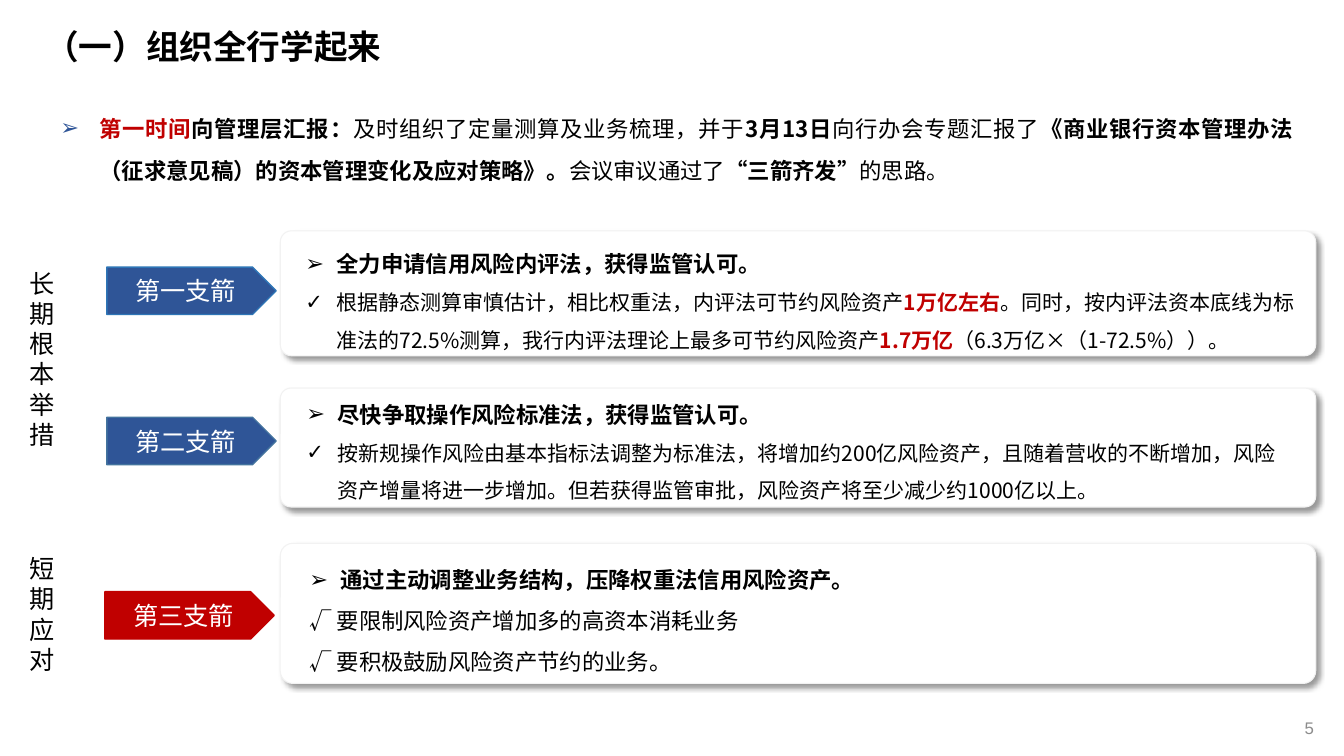
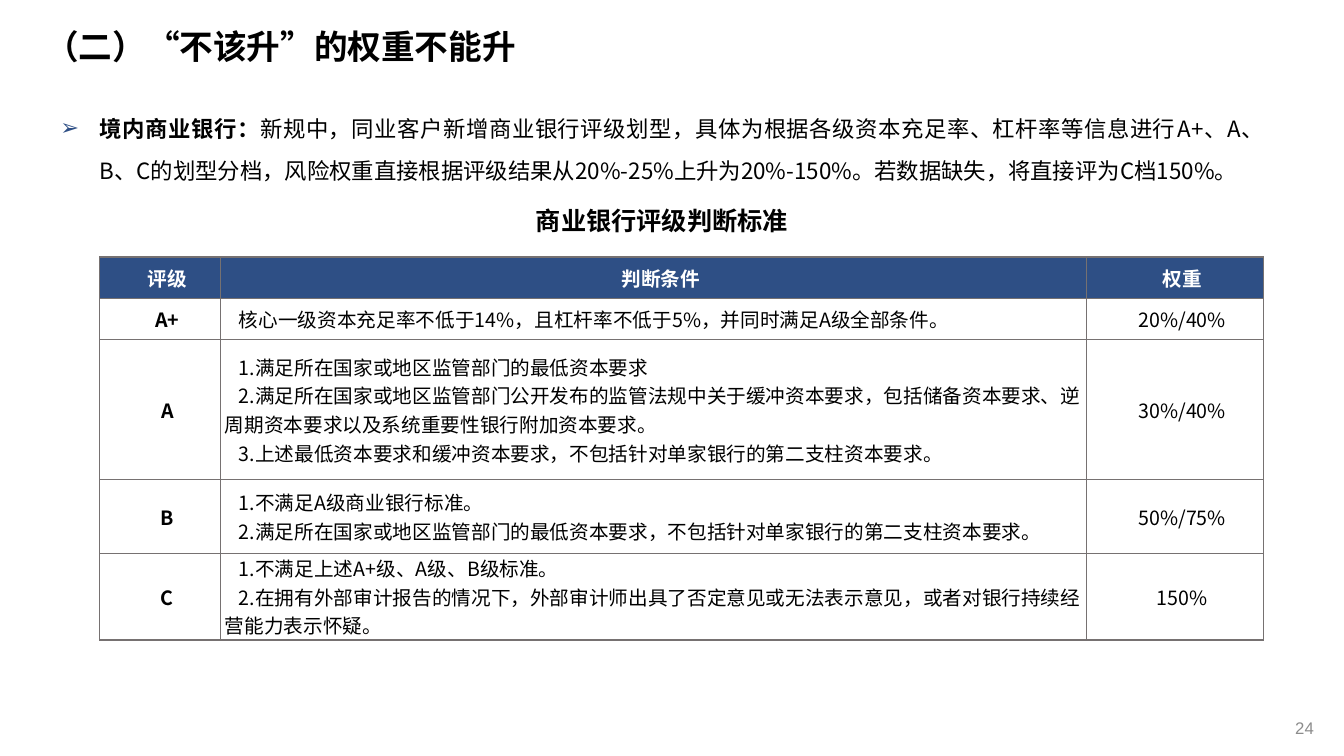
from lxml.etree import SubElement
from pptx import Presentation
from pptx.dml.color import RGBColor
from pptx.enum.shapes import MSO_SHAPE
from pptx.enum.text import MSO_ANCHOR, PP_ALIGN
from pptx.oxml import parse_xml
from pptx.oxml.ns import nsdecls, qn
from pptx.util import Inches, Pt

COLORS = {
    "black": "000000", "white": "FFFFFF", "red": "C00000", "blue": "2F5597",
    "navy": "2E4F85", "gray": "8C8C8C", "border": "767171", "panel": "F2F2F2",
    "first_edge": "2E75B6", "second_edge": "43739E",
}
CJK = "Noto Sans CJK SC"
LATIN = "Arial"
STYLES = {"plain": ("black", False), "bold": ("black", True), "red": ("red", True)}

REPORT = {
    "title": "（一）组织全行学起来",
    "number": "5",
    "intro": [
        ("第一时间", "red"),
        ("向管理层汇报：", "bold"),
        ("及时组织了定量测算及业务梳理，并于", "plain"),
        ("3月13日", "bold"),
        ("向行办会专题汇报了", "plain"),
        ("《商业银行资本管理办法（征求意见稿）的资本管理变化及应对策略》。", "bold"),
        ("会议审议通过了", "plain"),
        ("“三箭齐发”", "bold"),
        ("的思路。", "plain"),
    ],
    "intro_width": 12.42,
    "bullet": "blue",
}
WEIGHTS = {
    "title": "（二）“不该升”的权重不能升",
    "number": "24",
    "intro": [
        ("境内商业银行：", "bold"),
        ("新规中，同业客户新增商业银行评级划型，具体为根据各级资本充足率、杠杆率等信息进行A+、A、B、C的划型分档，"
         "风险权重直接根据评级结果从20%-25%上升为20%-150%。若数据缺失，将直接评为C档150%。", "plain"),
    ],
    "intro_width": 12.13,
    "bullet": "navy",
}

ARROWS = [
    {
        "label": "第一支箭", "arrow": (1.06, 2.65), "fill": "blue", "edge": "first_edge",
        "panel": (2.29, 1.24), "text": (2.93, 2.3, 10.09, 1.26),
        "heading": "全力申请信用风险内评法，获得监管认可。", "heading_spacing": 29,
        "details": [[
            ("根据静态测算审慎估计，相比权重法，内评法可节约风险资产", "plain"),
            ("1万亿左右", "red"),
            ("。同时，按内评法资本底线为标准法的72.5%测算，我行内评法理论上最多可节约风险资产", "plain"),
            ("1.7万亿", "red"),
            ("（6.3万亿×（1-72.5%））。", "plain"),
        ]],
        "detail_format": {"size": 15, "spacing": 27, "bullet": "✓", "indent": 0.31},
    },
    {
        "label": "第二支箭", "arrow": (1.06, 4.14), "fill": "blue", "edge": "second_edge",
        "panel": (3.85, 1.18), "text": (2.94, 3.79, 10.01, 1.26),
        "heading": "尽快争取操作风险标准法，获得监管认可。", "heading_spacing": 29,
        "details": [[
            ("按新规操作风险由基本指标法调整为标准法，将增加约200亿风险资产，且随着营收的不断增加，"
             "风险资产增量将进一步增加。但若获得监管审批，风险资产将至少减少约1000亿以上。", "plain"),
        ]],
        "detail_format": {"size": 15, "spacing": 27, "bullet": "✓", "indent": 0.31},
    },
    {
        "label": "第三支箭", "arrow": (1.04, 5.87), "fill": "red", "edge": "red",
        "panel": (5.39, 1.39), "text": (2.97, 5.56, 9.65, 1.13),
        "heading": "通过主动调整业务结构，压降权重法信用风险资产。", "heading_spacing": 20,
        "details": ["√ 要限制风险资产增加多的高资本消耗业务", "√ 要积极鼓励风险资产节约的业务。"],
        "detail_format": {"size": 16, "spacing": 29, "align": PP_ALIGN.JUSTIFY},
    },
]
HORIZONS = [("长期根本举措", 2.61, 1.92), ("短期应对", 5.44, 1.31)]

TABLE_TITLE = "商业银行评级判断标准"
TABLE_ROWS = [
    ("评级", ["判断条件"], "权重"),
    ("A+", ["核心一级资本充足率不低于14%，且杠杆率不低于5%，并同时满足A级全部条件。"], "20%/40%"),
    ("A", [
        "1.满足所在国家或地区监管部门的最低资本要求",
        "2.满足所在国家或地区监管部门公开发布的监管法规中关于缓冲资本要求，包括储备资本要求、逆周期资本要求以及系统重要性银行附加资本要求。",
        "3.上述最低资本要求和缓冲资本要求，不包括针对单家银行的第二支柱资本要求。",
    ], "30%/40%"),
    ("B", [
        "1.不满足A级商业银行标准。",
        "2.满足所在国家或地区监管部门的最低资本要求，不包括针对单家银行的第二支柱资本要求。",
    ], "50%/75%"),
    ("C", [
        "1.不满足上述A+级、A级、B级标准。",
        "2.在拥有外部审计报告的情况下，外部审计师出具了否定意见或无法表示意见，或者对银行持续经营能力表示怀疑。",
    ], "150%"),
]
COLUMN_WIDTHS = [1.2, 8.59, 1.75]
ROW_HEIGHTS = [0.41, 0.41, 1.39, 0.73, 0.86]


def color(name):
    return RGBColor.from_string(COLORS[name])


def write(frame, content, size=16, style="plain", tint=None, font=CJK, align=PP_ALIGN.LEFT,
          spacing=None, bullet=None, bullet_color="black", indent=0, first=None):
    paragraph = frame.paragraphs[0]
    if paragraph.runs:
        paragraph = frame.add_paragraph()
    paragraph.alignment = align
    if spacing:
        paragraph.line_spacing = Pt(spacing)
    properties = paragraph._p.get_or_add_pPr()
    properties.set("marL", str(Inches(indent)))
    properties.set("indent", str(Inches(-indent if first is None else first)))
    if bullet:
        tone = SubElement(properties, qn("a:buClr"))
        SubElement(tone, qn("a:srgbClr")).set("val", COLORS[bullet_color])
        SubElement(properties, qn("a:buFont")).set("typeface", LATIN)
        SubElement(properties, qn("a:buChar")).set("char", bullet)
    for text, name in [(content, style)] if isinstance(content, str) else content:
        run = paragraph.add_run()
        run.text = text
        ink, bold = STYLES[name]
        run.font.size = Pt(size)
        run.font.bold = bold
        run.font.name = font
        run.font.color.rgb = color(tint or ink)
        SubElement(run._r.get_or_add_rPr(), qn("a:ea")).set("typeface", CJK)


def add_text_frame(slide, left, top, width, height, anchor=MSO_ANCHOR.TOP, wrap=True):
    frame = slide.shapes.add_textbox(Inches(left), Inches(top), Inches(width), Inches(height)).text_frame
    frame.word_wrap = wrap
    frame.vertical_anchor = anchor
    return frame


def add_filled_shape(slide, kind, left, top, width, height, fill, edge, weight):
    shape = slide.shapes.add_shape(kind, Inches(left), Inches(top), Inches(width), Inches(height))
    shape.shadow.inherit = False
    shape.fill.solid()
    shape.fill.fore_color.rgb = color(fill)
    shape.line.color.rgb = color(edge)
    shape.line.width = Pt(weight)
    return shape


def add_panel(slide, top, height):
    panel = add_filled_shape(slide, MSO_SHAPE.ROUNDED_RECTANGLE, 2.78, top, 10.27, height, "white", "panel", 0.75)
    panel.adjustments[0] = 0.09
    effects = panel._element.spPr.find(qn("a:effectLst"))
    effects.append(parse_xml(
        f'<a:outerShdw {nsdecls("a")} blurRad="{Pt(4)}" dist="{Pt(3)}" dir="2700000" algn="tl" rotWithShape="0">'
        f'<a:srgbClr val="{COLORS["black"]}"><a:alpha val="40000"/></a:srgbClr></a:outerShdw>'))


def add_page(presentation, page):
    slide = presentation.slides.add_slide(presentation.slide_layouts[6])
    number = add_text_frame(slide, 12.13, 7.06, 1, 0.33, MSO_ANCHOR.MIDDLE)
    write(number, page["number"], size=12, font=LATIN, tint="gray", align=PP_ALIGN.RIGHT)
    title = add_text_frame(slide, 0.35, 0.24, 8.47, 0.42, MSO_ANCHOR.BOTTOM)
    title.margin_top = title.margin_bottom = 0
    write(title, page["title"], size=24, style="bold", spacing=30)
    intro = add_text_frame(slide, 0.5, 0.94, page["intro_width"], 0.94)
    write(intro, page["intro"], spacing=30, align=PP_ALIGN.JUSTIFY,
          bullet="➢", bullet_color=page["bullet"], indent=0.39)
    return slide


def add_arrow(slide, item):
    add_panel(slide, *item["panel"])
    frame = add_text_frame(slide, *item["text"])
    write(frame, item["heading"], style="bold", spacing=item["heading_spacing"], bullet="➢", indent=0.31)
    for detail in item["details"]:
        write(frame, detail, **item["detail_format"])
    arrow = add_filled_shape(slide, MSO_SHAPE.PENTAGON, *item["arrow"], 1.68, 0.47, item["fill"], item["edge"], 1)
    arrow.text_frame.vertical_anchor = MSO_ANCHOR.MIDDLE
    write(arrow.text_frame, item["label"], size=18, font=LATIN, tint="white", align=PP_ALIGN.CENTER)


def add_borders(cell):
    properties = cell._tc.get_or_add_tcPr()
    for position, side in enumerate(("lnL", "lnR", "lnT", "lnB")):
        properties.insert(position, parse_xml(
            f'<a:{side} {nsdecls("a")} w="{Pt(1)}"><a:solidFill>'
            f'<a:srgbClr val="{COLORS["border"]}"/></a:solidFill></a:{side}>'))


def add_rating_table(slide):
    table = slide.shapes.add_table(
        len(TABLE_ROWS), len(COLUMN_WIDTHS), Inches(0.99), Inches(2.55),
        Inches(sum(COLUMN_WIDTHS)), Inches(sum(ROW_HEIGHTS))).table
    table.first_row = table.horz_banding = False
    for column, width in zip(table.columns, COLUMN_WIDTHS):
        column.width = Inches(width)
    for row_index, (row, height) in enumerate(zip(TABLE_ROWS, ROW_HEIGHTS)):
        table.rows[row_index].height = Inches(height)
        header = row_index == 0
        for column_index, content in enumerate(row):
            cell = table.cell(row_index, column_index)
            cell.vertical_anchor = MSO_ANCHOR.MIDDLE
            cell.margin_left = cell.margin_right = Inches(0.04)
            cell.margin_top = cell.margin_bottom = 0
            if header:
                cell.fill.solid()
                cell.fill.fore_color.rgb = color("navy")
            else:
                cell.fill.background()
            add_borders(cell)
            for text in [content] if isinstance(content, str) else content:
                write(cell.text_frame, text, size=14, first=0.14,
                      style="bold" if header or column_index == 0 else "plain",
                      tint="white" if header else None,
                      align=PP_ALIGN.LEFT if column_index == 1 and not header else PP_ALIGN.CENTER)


def main():
    presentation = Presentation()
    presentation.slide_width = Inches(13.33)
    presentation.slide_height = Inches(7.5)

    report = add_page(presentation, REPORT)
    for item in ARROWS:
        add_arrow(report, item)
    for text, top, height in HORIZONS:
        write(add_text_frame(report, 0.19, top, 0.56, height), text, size=18, font=LATIN, spacing=21.6)

    weights = add_page(presentation, WEIGHTS)
    add_rating_table(weights)
    caption = add_text_frame(weights, 5.2, 1.98, 2.73, 0.4, wrap=False)
    write(caption, TABLE_TITLE, size=18, style="bold", spacing=22, align=PP_ALIGN.CENTER)

    presentation.save("out.pptx")


if __name__ == "__main__":
    main()
